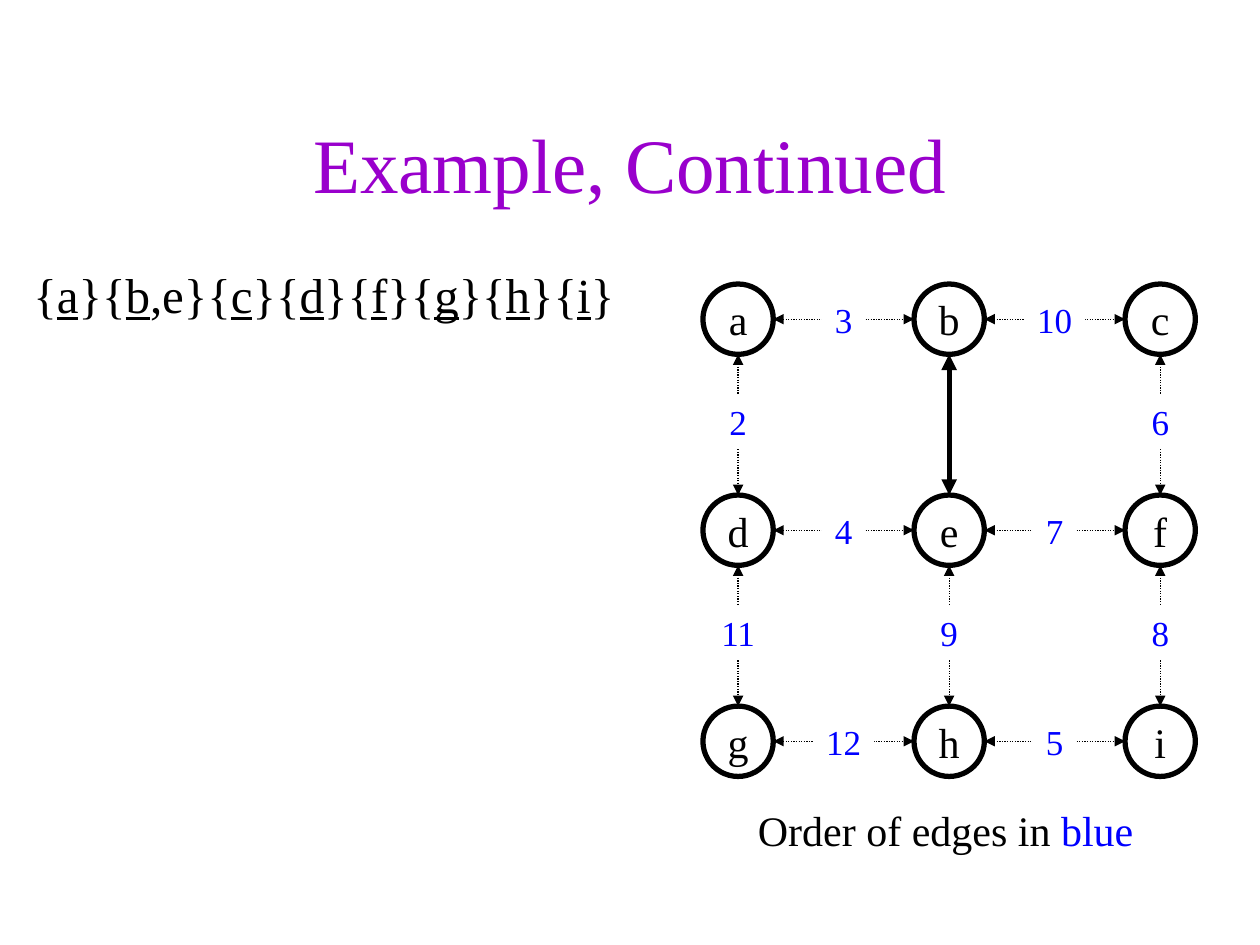
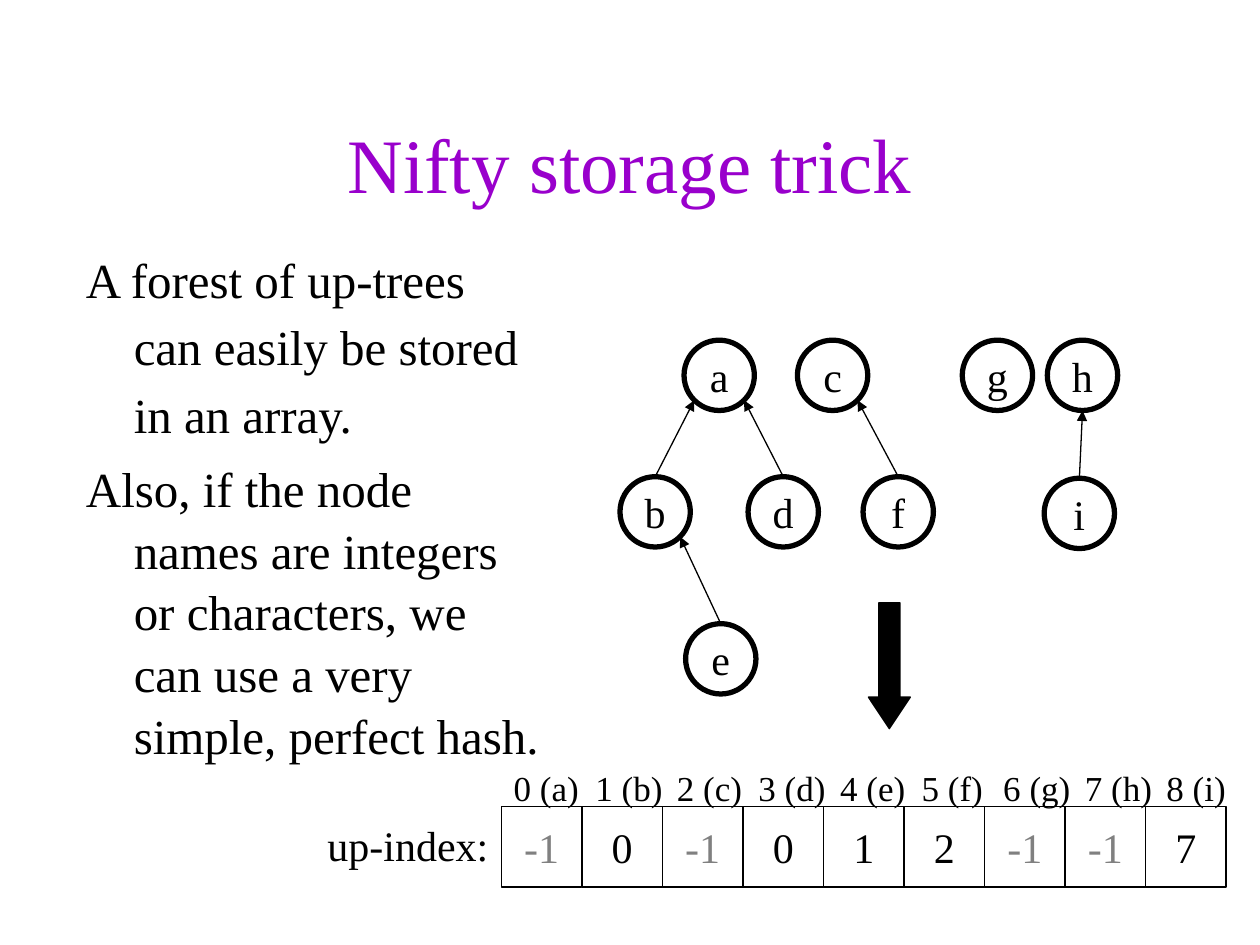
import pptx
import pptx.util
import pptx.dml.color
import pptx.enum.dml
import pptx.enum.shapes
import pptx.enum.text
import pptx.oxml
import pptx.oxml.ns
import lxml.etree

BLACK = pptx.dml.color.RGBColor(0x00, 0x00, 0x00)
WHITE = pptx.dml.color.RGBColor(0xFF, 0xFF, 0xFF)
PURPLE = pptx.dml.color.RGBColor(0x99, 0x00, 0xCC)
BLUE = pptx.dml.color.RGBColor(0x00, 0x00, 0xFF)
GREY = pptx.dml.color.RGBColor(0x80, 0x80, 0x80)
FONT = "Times New Roman"
OVAL = pptx.enum.shapes.MSO_SHAPE.OVAL
RECTANGLE = pptx.enum.shapes.MSO_SHAPE.RECTANGLE
DOWN_ARROW = pptx.enum.shapes.MSO_SHAPE.DOWN_ARROW
LEFT = pptx.enum.text.PP_ALIGN.LEFT
CENTER = pptx.enum.text.PP_ALIGN.CENTER
TOP = pptx.enum.text.MSO_ANCHOR.TOP
MIDDLE = pptx.enum.text.MSO_ANCHOR.MIDDLE

deck = pptx.Presentation()
deck.slide_width = pptx.util.Inches(10)
deck.slide_height = pptx.util.Inches(7.5)
CELL = deck.slide_width / 120
TITLE = (9, 8, 102, 15)
NODE = 6.7
RADIUS = NODE / 2
DIAGONAL = RADIUS * 0.71
HANGING = pptx.util.Inches(0.38)


def place(slide, kind, area, paragraphs, size=24, colour=BLACK, align=CENTER,
          anchor=MIDDLE, wrap=False, fill=None, outline=0):
    area = [round(length * CELL) for length in area]
    if kind is None:
        shape = slide.shapes.add_textbox(*area)
    else:
        shape = slide.shapes.add_shape(kind, *area)
        shape.shadow.inherit = False
    if fill is None:
        shape.fill.background()
    else:
        shape.fill.solid()
        shape.fill.fore_color.rgb = fill
    if outline:
        shape.line.color.rgb = BLACK
        shape.line.width = pptx.util.Pt(outline)
    else:
        shape.line.fill.background()
    frame = shape.text_frame
    frame.word_wrap = wrap
    frame.vertical_anchor = anchor
    for number, pieces in enumerate(paragraphs):
        paragraph = frame.add_paragraph() if number else frame.paragraphs[0]
        paragraph.alignment = align
        for piece in pieces:
            run = paragraph.add_run()
            run.text = piece
            run.font.name = FONT
            run.font.size = pptx.util.Pt(size)
            run.font.color.rgb = colour
    return shape


def draw_edge(slide, start, end, weight, arrowheads):
    edge = slide.shapes.add_connector(
        pptx.enum.shapes.MSO_CONNECTOR.STRAIGHT,
        *[round(length * CELL) for length in (*start, *end)])
    edge.line.color.rgb = BLACK
    edge.line.width = pptx.util.Pt(weight)
    if weight < 1 and len(arrowheads) == 2:
        edge.line.dash_style = pptx.enum.dml.MSO_LINE.ROUND_DOT
    outline = edge.line._get_or_add_ln()
    for arrowhead in arrowheads:
        lxml.etree.SubElement(outline, pptx.oxml.ns.qn("a:" + arrowhead), type="triangle")
    lxml.etree.SubElement(edge._element.spPr, pptx.oxml.ns.qn("a:effectLst"))
    return edge


example = deck.slides.add_slide(deck.slide_layouts[6])
place(example, None, TITLE, [["Example, Continued"]], 44, PURPLE, wrap=True)

sets = place(example, None, (2, 24.3, 62, 54),
             [["{", "a", "}{", "b", ",e}{", "c", "}{", "d", "}{", "f",
               "}{", "g", "}{", "h", "}{", "i", "}"]],
             28, align=LEFT, anchor=TOP, wrap=True)
sets.text_frame.paragraphs[0].line_spacing = 1.05
for representative in sets.text_frame.paragraphs[0].runs[1::2]:
    representative.font.underline = True

caption = place(example, None, (71, 76, 38.2, 6),
                [["Order of edges in ", "blue"]], align=LEFT, anchor=TOP)
caption.text_frame.paragraphs[0].runs[1].font.color.rgb = BLUE

PITCH = 20.1
graph = {}
for index, name in enumerate("abcdefghi"):
    row, column = divmod(index, 3)
    x, y = 70.3 + PITCH * column, 30.4 + PITCH * row
    graph[name] = (x, y)
    place(example, OVAL, (x - RADIUS, y - RADIUS, NODE, NODE), [[name]], outline=3)

edge_orders = {"ab": "3", "bc": "10", "ad": "2", "be": "", "cf": "6", "de": "4",
               "ef": "7", "dg": "11", "eh": "9", "fi": "8", "gh": "12", "hi": "5"}
for (first, second), order in edge_orders.items():
    (x1, y1), (x2, y2) = graph[first], graph[second]
    across, down = (RADIUS, 0) if y1 == y2 else (0, RADIUS)
    draw_edge(example, (x1 + across, y1 + down), (x2 - across, y2 - down),
              0.75 if order else 3, ("headEnd", "tailEnd"))
    if order:
        width = 5.4 if down else 2.4 + 1.7 * len(order)
        rise = 0.3 if down else 0
        place(example, RECTANGLE,
              ((x1 + x2 - width) / 2, (y1 + y2) / 2 - 2.6 - rise, width, 5.2),
              [[order]], 20, BLUE, fill=WHITE)

storage = deck.slides.add_slide(deck.slide_layouts[6])
place(storage, None, TITLE, [["Nifty storage trick"]], 44, PURPLE, wrap=True)

explanation = place(
    storage, None, (7, 22.3, 46, 54),
    [["A forest of up-trees can easily be stored in an array."],
     ["Also, if the node names are integers or characters, "
      "we can use a very simple, perfect hash."]],
    28, align=LEFT, anchor=TOP, wrap=True)
forest_line, hash_line = explanation.text_frame.paragraphs
forest_line.line_spacing = 1.15
hash_line.line_spacing = 1.05
hash_line.space_before = pptx.util.Pt(7)
for line in (*sets.text_frame.paragraphs, forest_line, hash_line):
    properties = line._p.get_or_add_pPr()
    properties.set("marL", str(HANGING))
    properties.set("indent", str(-HANGING))

up_trees = {"a": (68.5, 35.75), "c": (79.3, 35.75), "g": (95, 35.75), "h": (103.1, 35.75),
            "b": (62.4, 48.75), "d": (74.6, 48.75), "f": (85.55, 48.75),
            "i": (102.8, 48.9), "e": (68.65, 62.75)}
nodes = {}
for name, (x, y) in up_trees.items():
    nodes[name] = place(storage, OVAL, (x - RADIUS, y - RADIUS, NODE, NODE),
                        [[name]], outline=3)

for child, parent, side in (("b", "a", -1), ("d", "a", 1), ("f", "c", 1),
                            ("i", "h", 0), ("e", "b", 1)):
    x, y = up_trees[child]
    parent_x, parent_y = up_trees[parent]
    up_link = draw_edge(storage, (x, y - RADIUS),
                        (parent_x + side * DIAGONAL,
                         parent_y + (DIAGONAL if side else RADIUS)),
                        0.75, ("tailEnd",))
    up_link.begin_connect(nodes[child], 0)

SLOT = 7.67
ARRAY_LEFT, ARRAY_TOP = 47.75, 76.8
up_index = [-1, 0, -1, 0, 1, 2, -1, -1, 7]
for slot, parent in enumerate(up_index):
    place(storage, RECTANGLE, (ARRAY_LEFT + SLOT * slot, ARRAY_TOP, SLOT, SLOT),
          [[str(parent)]], colour=GREY if parent < 0 else BLACK, outline=0.75)

slot_names = "\t".join(f"{slot} ({name})" for slot, name in enumerate("abcdefghi"))
slot_labels = place(storage, None, (ARRAY_LEFT, 72.4, 70.6, 5.2), [[slot_names]],
                    20, align=LEFT, anchor=TOP, wrap=True)
tabs = lxml.etree.SubElement(slot_labels.text_frame.paragraphs[0]._p.get_or_add_pPr(),
                             pptx.oxml.ns.qn("a:tabLst"))
for slot in range(1, len(up_index)):
    lxml.etree.SubElement(tabs, pptx.oxml.ns.qn("a:tab"),
                          pos=str(round(7.77 * slot * CELL)), algn="l")

place(storage, None, (30, 77.5, 17.75, 6), [["up-index:"]], align=LEFT, anchor=TOP)

storing = place(storage, DOWN_ARROW, (82.7, 57.4, 4, 12), [], fill=BLACK, outline=0.75)
storing.adjustments[0] = 0.5
storing.adjustments[1] = 0.75

deck.save("out.pptx")
